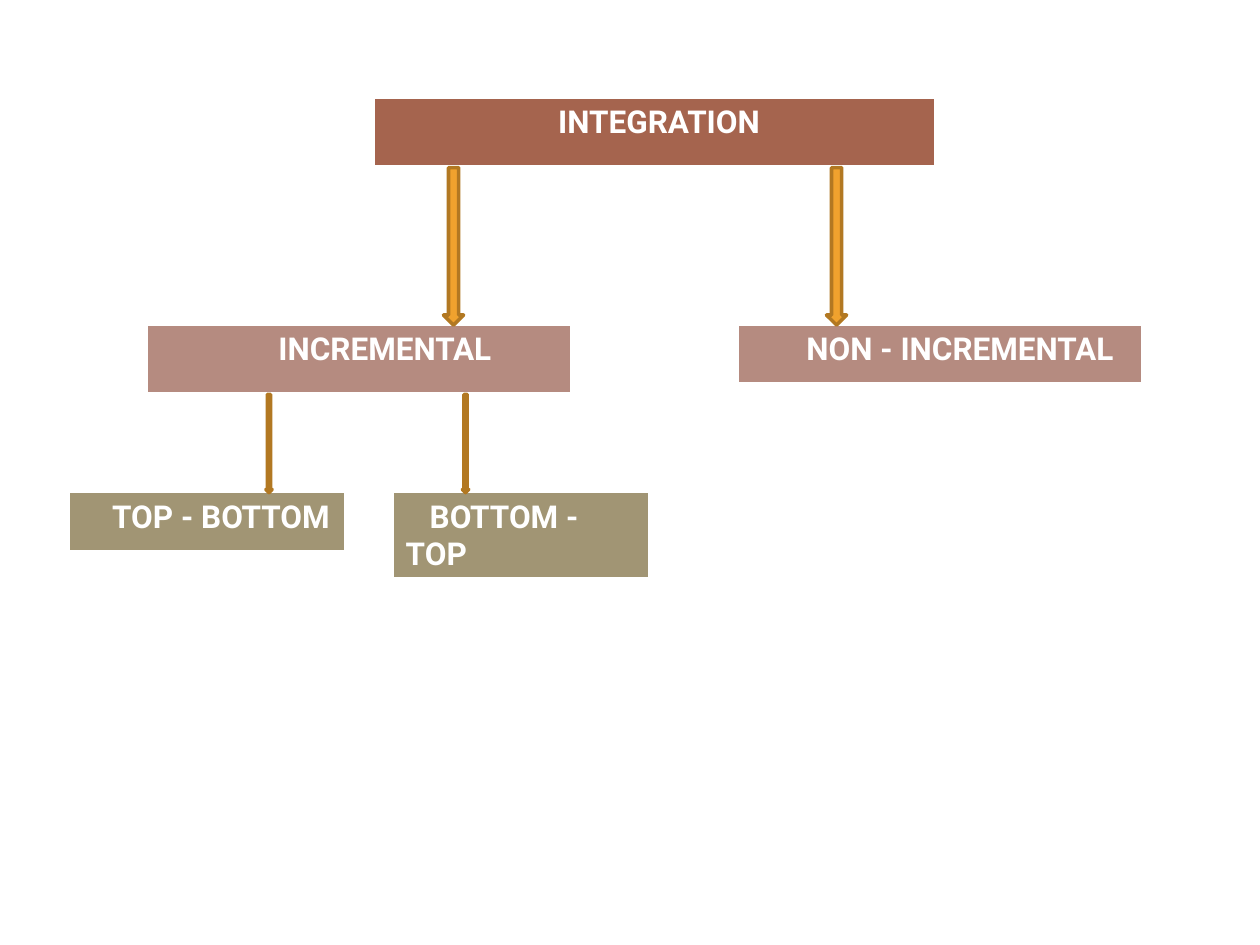
from pptx import Presentation
from pptx.dml.color import RGBColor as RGB
from pptx.enum.shapes import MSO_SHAPE as SHAPE
from pptx.oxml import parse_xml
from pptx.oxml.ns import nsdecls
from pptx.util import Inches, Pt

WIDE, HIGH = 10, 7.5
FONT = "Roboto"
HUES = {
    "root": "A5644E", "branch": "B58B80", "leaf": "A19574",
    "text": "FFFFFF", "edge": "FFFFFF", "arrow": "F0A22E", "rim": "B27822",
}
# Top of each level of the tree
ROWS = {"root": 0.78, "branch": 2.58, "leaf": 3.91}
TALL, LOW = 0.55, 0.47

# Level, text, left, width, height, first-line indent
BOXES = [
    ("root", "INTEGRATION", 2.97, 4.45, TALL, 1.36),
    ("branch", "NON - INCREMENTAL", 5.86, 3.2, LOW, 0.44),
    ("branch", "INCREMENTAL", 1.17, 3.36, TALL, 0.94),
    ("leaf", "TOP - BOTTOM", 0.55, 2.19, LOW, 0.24),
    ("leaf", "BOTTOM - TOP", 3.12, 2.03, LOW, 0.19),
]
# Upper level, lower level, width, left edges
ARROWS = [
    ("root", "branch", 0.16, (3.52, 6.56)),
    ("branch", "leaf", 0.05, (2.11, 3.67)),
]


def hue(name):
    return RGB.from_string(HUES[name])


def write(frame, text, size=18, color="text", bold=True, indent=0):
    para = frame.paragraphs[0]
    para._p.get_or_add_pPr().set("indent", str(Inches(indent)))
    run = para.add_run()
    run.text = text
    font = run.font
    font.name, font.size, font.bold = FONT, Pt(size), bold
    font.color.rgb = hue(color)


def edge(cell, side, width):
    cell._tc.get_or_add_tcPr().append(parse_xml(
        f'<a:ln{side} {nsdecls("a")} w="{Pt(width)}"><a:solidFill>'
        f'<a:srgbClr val="{HUES["edge"]}"/></a:solidFill></a:ln{side}>'))


def box(slide, level, text, left, width, height, indent):
    table = slide.shapes.add_table(
        1, 1, Inches(left), Inches(ROWS[level]),
        Inches(width), Inches(height)).table
    table.first_row = table.horz_banding = False
    cell = table.cell(0, 0)
    for side, line in zip("LRTB", (1, 1, 1, 3)):
        edge(cell, side, line)
    cell.fill.solid()
    cell.fill.fore_color.rgb = hue(level)
    write(cell.text_frame, text, indent=indent)


def arrow(slide, upper, lower, left, width):
    top = ROWS[upper] + TALL
    shape = slide.shapes.add_shape(
        SHAPE.DOWN_ARROW, Inches(left), Inches(top),
        Inches(width), Inches(ROWS[lower] - top))
    shape.shadow.inherit = False
    shape.fill.solid()
    shape.fill.fore_color.rgb = hue("arrow")
    shape.line.color.rgb = hue("rim")
    shape.line.width = Pt(2)


def main():
    deck = Presentation()
    deck.slide_width, deck.slide_height = Inches(WIDE), Inches(HIGH)
    slide = deck.slides.add_slide(deck.slide_layouts[6])
    # Boxes of the tree
    for item in BOXES:
        box(slide, *item)
    # Arrows between levels
    for upper, lower, width, lefts in ARROWS:
        for left in lefts:
            arrow(slide, upper, lower, left, width)
    deck.save("out.pptx")


if __name__ == "__main__":
    main()
